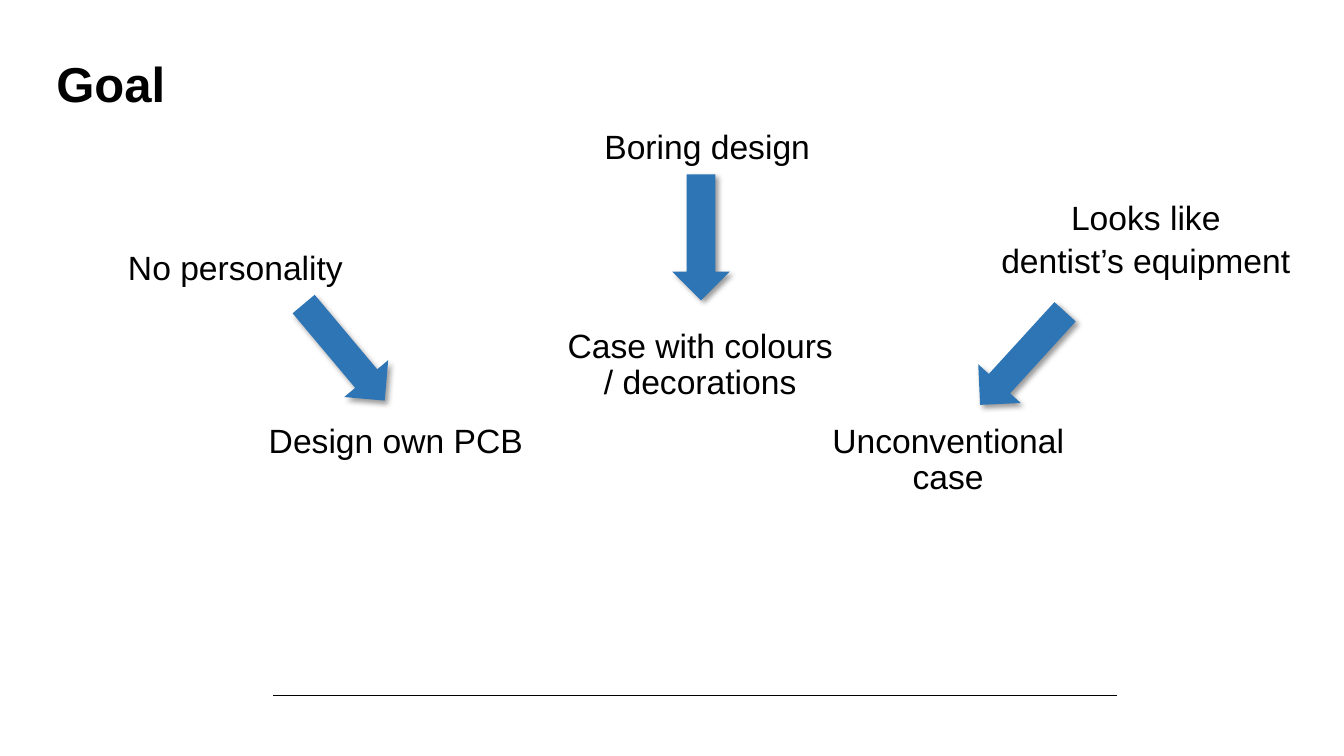
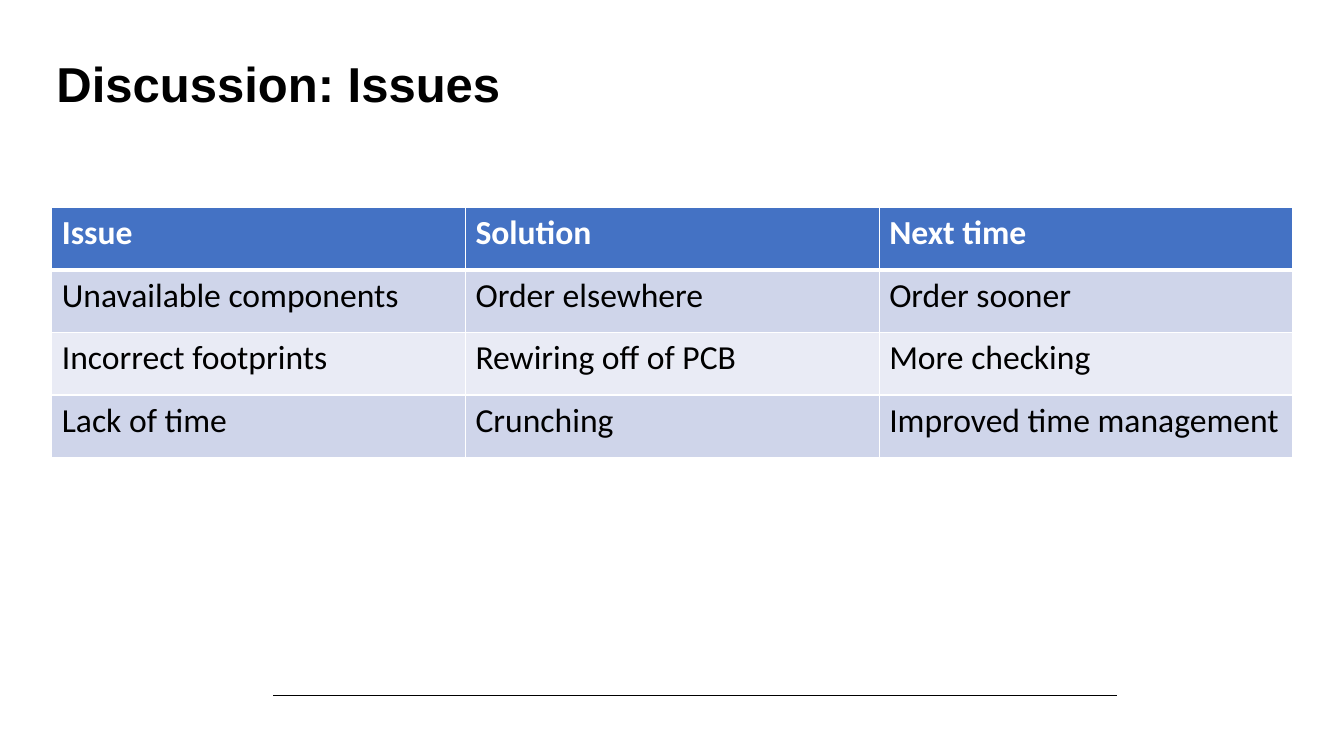
from lxml import etree
from pptx import Presentation
from pptx.dml.color import RGBColor
from pptx.enum.shapes import MSO_CONNECTOR, MSO_SHAPE
from pptx.enum.text import PP_ALIGN
from pptx.oxml.ns import qn
from pptx.util import Inches, Pt

STRAIGHT = MSO_CONNECTOR.STRAIGHT
LEFT_ARROW = MSO_SHAPE.LEFT_ARROW
LEFT, CENTER = PP_ALIGN.LEFT, PP_ALIGN.CENTER

COLORS = {
    "text": "000000",
    "white": "FFFFFF",
    "arrow": "2E75B6",
    "header": "4472C4",
    "odd_row": "CFD5EA",
    "even_row": "E9EBF5",
}
SLIDE_WIDTH, SLIDE_HEIGHT = Inches(13.33), Inches(7.5)
FONT, TABLE_FONT = "Arial", "Calibri"
TITLE_SIZE, BODY_SIZE = 35, 24
ARROW_WIDTH, ARROW_HEIGHT = 9.38, 7.6
LABEL_HEIGHT = 5.87

PROBLEMS = [
    (["No personality"], 8.1, 33.33, 18.83, LABEL_HEIGHT, 0.9),
    (["Boring design"], 44.55, 17.2, 16.13, LABEL_HEIGHT, 0.9),
    (["Looks like", "dentist’s equipment"], 74.4, 26, 21.7, 13, 1),
]
REMEDIES = [
    (["Design own PCB"], 19.28, 56.13, 20.33, LABEL_HEIGHT, 0.9),
    (["Case with colours / decorations"], 41.93, 43.6, 20.33, 10.27, 0.9),
    (["Unconventional case"], 60.38, 56.13, 20.33, 13.87, 0.9),
]
ARROWS = [(25.61, 46.6, 230), (52.16, 31.4, 270), (76.09, 47.4, 312.4)]
ISSUES = [
    ("Issue", "Solution", "Next time"),
    ("Unavailable components", "Order elsewhere", "Order sooner"),
    ("Incorrect footprints", "Rewiring off of PCB", "More checking"),
    ("Lack of time", "Crunching", "Improved time management"),
]


def color(name):
    return RGBColor.from_string(COLORS[name])


def across(percent):
    return round(SLIDE_WIDTH * percent / 100)


def down(percent):
    return round(SLIDE_HEIGHT * percent / 100)


def area(left, top, width, height):
    return across(left), down(top), across(width), down(height)


def style_font(paragraph, name, size, color_name, bold=False):
    font = paragraph.font
    font.name, font.size, font.bold = name, Pt(size), bold
    font.color.rgb = color(color_name)


def add_text(slide, lines, box, size=BODY_SIZE, bold=False, align=CENTER, spacing=0.9):
    frame = slide.shapes.add_textbox(*area(*box)).text_frame
    frame.word_wrap = True
    frame.margin_left = frame.margin_top = frame.margin_right = frame.margin_bottom = 0
    for index, line in enumerate(lines):
        paragraph = frame.add_paragraph() if index else frame.paragraphs[0]
        paragraph.text = line
        paragraph.alignment = align
        paragraph.line_spacing = spacing
        if index:
            paragraph.space_before = Pt(2)
        style_font(paragraph, FONT, size, "text", bold)


def add_footer_line(slide):
    line = slide.shapes.add_connector(
        STRAIGHT, across(20.33), down(92), across(83.1), down(92)
    )
    line.line.color.rgb = color("text")
    line.line.width = Pt(1)
    etree.SubElement(line._element.spPr, qn("a:effectLst"))


def add_titled_slide(presentation, title):
    slide = presentation.slides.add_slide(presentation.slide_layouts[6])
    add_footer_line(slide)
    add_text(slide, [title], (4.2, 8, 91.5, 14.27), TITLE_SIZE, True, LEFT)
    return slide


def add_shadow(shape):
    shape.shadow.inherit = False
    effects = shape._element.spPr.find(qn("a:effectLst"))
    shadow = etree.SubElement(
        effects, qn("a:outerShdw"), blurRad=str(Pt(4)), dist=str(Pt(3)),
        dir=str(45 * 60000), algn="tl", rotWithShape="0",
    )
    shade = etree.SubElement(shadow, qn("a:srgbClr"), val=COLORS["text"])
    etree.SubElement(shade, qn("a:alpha"), val="40000")


def add_arrow(slide, center_x, center_y, rotation):
    arrow = slide.shapes.add_shape(LEFT_ARROW, *area(
        center_x - ARROW_WIDTH / 2, center_y - ARROW_HEIGHT / 2,
        ARROW_WIDTH, ARROW_HEIGHT,
    ))
    arrow.rotation = rotation
    arrow.fill.solid()
    arrow.fill.fore_color.rgb = color("arrow")
    arrow.line.fill.background()
    add_shadow(arrow)


def set_borders(cell, top=1, bottom=1):
    properties = cell._tc.get_or_add_tcPr()
    widths = {"a:lnL": 1, "a:lnR": 1, "a:lnT": top, "a:lnB": bottom}
    for index, (tag, width) in enumerate(widths.items()):
        border = etree.Element(qn(tag), w=str(Pt(width)))
        fill = etree.SubElement(border, qn("a:solidFill"))
        etree.SubElement(fill, qn("a:srgbClr"), val=COLORS["white"])
        properties.insert(index, border)


def add_table(slide, rows, box):
    table = slide.shapes.add_table(len(rows), len(rows[0]), *area(*box)).table
    for row_index, row in enumerate(rows):
        header = row_index == 0
        fill_name = "header" if header else "odd_row" if row_index % 2 else "even_row"
        for column_index, text in enumerate(row):
            cell = table.cell(row_index, column_index)
            cell.text = text
            cell.fill.solid()
            cell.fill.fore_color.rgb = color(fill_name)
            style_font(cell.text_frame.paragraphs[0], TABLE_FONT, BODY_SIZE,
                       "white" if header else "text", header)
            set_borders(cell, top=3 if row_index == 1 else 1, bottom=3 if header else 1)


def add_goal_slide(presentation):
    slide = add_titled_slide(presentation, "Goal")
    for lines, left, top, width, height, spacing in PROBLEMS + REMEDIES:
        add_text(slide, lines, (left, top, width, height), spacing=spacing)
    for arrow in ARROWS:
        add_arrow(slide, *arrow)


def add_issues_slide(presentation):
    slide = add_titled_slide(presentation, "Discussion: Issues")
    add_table(slide, ISSUES, (3.85, 27.47, 92.35, 33.07))


def main():
    presentation = Presentation()
    presentation.slide_width, presentation.slide_height = SLIDE_WIDTH, SLIDE_HEIGHT
    add_goal_slide(presentation)
    add_issues_slide(presentation)
    presentation.save("out.pptx")


if __name__ == "__main__":
    main()
